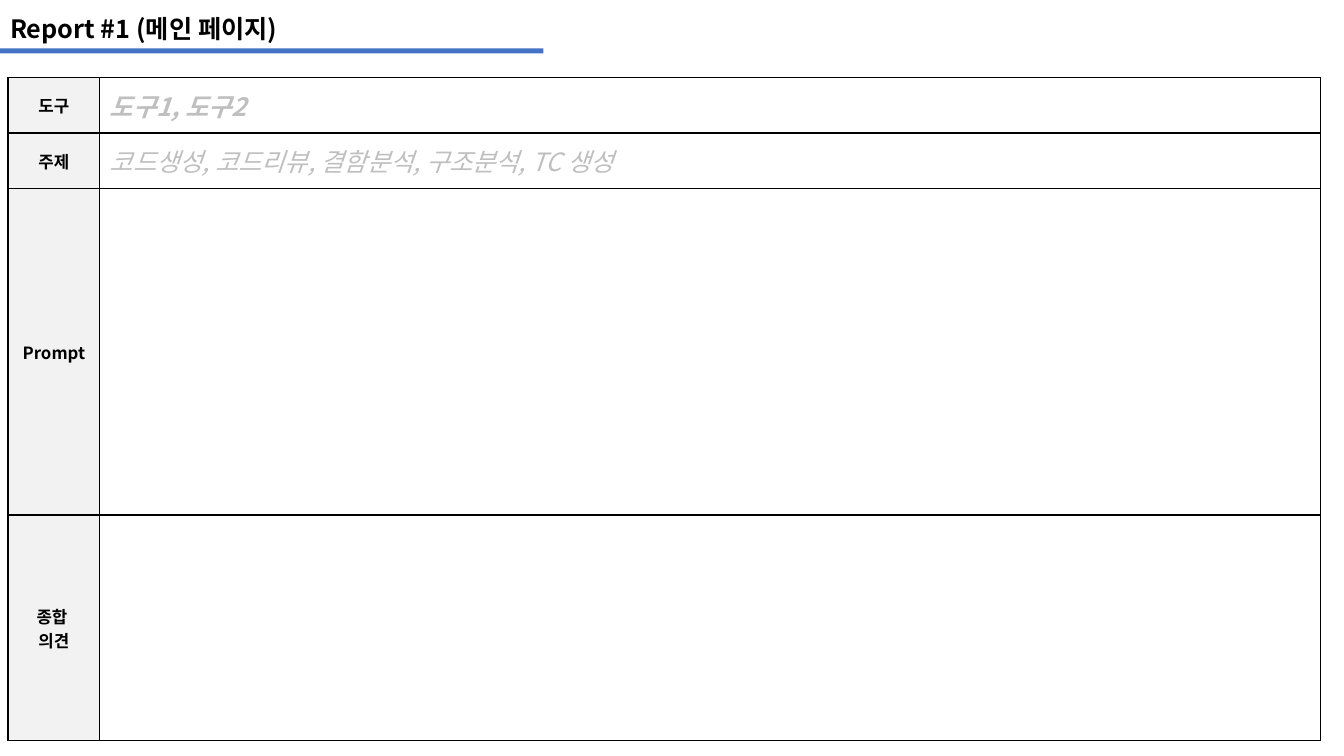
from dataclasses import dataclass

import lxml.etree
import pptx
import pptx.dml.color
import pptx.enum.shapes
import pptx.enum.text
import pptx.oxml.ns
import pptx.util

Inches = pptx.util.Inches
FONT_NAME = "Noto Sans CJK KR"
COLORS = {
    "text": "000000",
    "hint": "BFBFBF",
    "label": "F2F2F2",
    "entry": "FFFFFF",
    "border": "000000",
    "accent": "4472C4",
}
COLUMN_WIDTHS = (0.91, 12.11)


@dataclass
class ReportRow:
    label: str
    height: float
    hint: str = ""
    hint_bold: bool = False


REPORT_ROWS = [
    ReportRow("도구", 0.55, "도구1, 도구2", True),
    ReportRow("주제", 0.55, "코드생성, 코드리뷰, 결함분석, 구조분석, TC 생성"),
    ReportRow("Prompt", 3.24),
    ReportRow("종합 \n의견", 2.24),
]


def color(name: str) -> pptx.dml.color.RGBColor:
    return pptx.dml.color.RGBColor.from_string(COLORS[name])


def add_element(parent, tag: str, **attributes: str):
    return lxml.etree.SubElement(parent, pptx.oxml.ns.qn(tag), attributes)


def write_text(frame, text: str, size: int, color_name: str, alignment,
               bold: bool = True, italic: bool = False) -> None:
    frame.text = text
    for para in frame.paragraphs:
        para.alignment = alignment
        font = para.font
        font.size = pptx.util.Pt(size)
        font.bold = bold
        font.italic = italic
        font.color.rgb = color(color_name)
        font.name = FONT_NAME
        defaults = para._p.pPr.find(pptx.oxml.ns.qn("a:defRPr"))
        add_element(defaults, "a:ea", typeface=FONT_NAME)


def format_cell(cell, fill_name: str) -> None:
    cell.vertical_anchor = pptx.enum.text.MSO_ANCHOR.MIDDLE
    properties = cell._tc.get_or_add_tcPr()
    for side in ("a:lnL", "a:lnR", "a:lnT", "a:lnB"):
        line = add_element(properties, side, w=str(pptx.util.Pt(1)))
        line_fill = add_element(line, "a:solidFill")
        add_element(line_fill, "a:srgbClr", val=COLORS["border"])
    cell.fill.solid()
    cell.fill.fore_color.rgb = color(fill_name)


def add_title(page) -> None:
    title = page.shapes.title
    title.left, title.top = Inches(0), Inches(0.08)
    title.width, title.height = Inches(4.27), Inches(0.4)
    frame = title.text_frame
    frame.vertical_anchor = pptx.enum.text.MSO_ANCHOR.TOP
    frame.auto_size = pptx.enum.text.MSO_AUTO_SIZE.SHAPE_TO_FIT_TEXT
    write_text(frame, "Report #1 (메인 페이지)", 18, "text", pptx.enum.text.PP_ALIGN.LEFT)


def add_report_table(page) -> None:
    height = sum(row.height for row in REPORT_ROWS)
    table = page.shapes.add_table(
        len(REPORT_ROWS), len(COLUMN_WIDTHS), Inches(0.08), Inches(0.77),
        Inches(sum(COLUMN_WIDTHS)), Inches(height)).table
    table.first_row = False
    table.horz_banding = False
    for column, width in zip(table.columns, COLUMN_WIDTHS):
        column.width = Inches(width)
    for index, row in enumerate(REPORT_ROWS):
        table.rows[index].height = Inches(row.height)
        label, entry = table.cell(index, 0), table.cell(index, 1)
        format_cell(label, "label")
        format_cell(entry, "entry")
        write_text(label.text_frame, row.label, 12, "text", pptx.enum.text.PP_ALIGN.CENTER)
        if row.hint:
            write_text(entry.text_frame, row.hint, 18, "hint",
                       pptx.enum.text.PP_ALIGN.LEFT, row.hint_bold, True)


def add_title_bar(page) -> None:
    bar = page.shapes.add_shape(
        pptx.enum.shapes.MSO_SHAPE.RECTANGLE,
        Inches(0), Inches(0.48), Inches(5.39), Inches(0.05))
    bar.shadow.inherit = False
    bar.fill.solid()
    bar.fill.fore_color.rgb = color("accent")
    bar.line.fill.background()


def main() -> None:
    deck = pptx.Presentation()
    deck.slide_width, deck.slide_height = Inches(13.33), Inches(7.5)
    page = deck.slides.add_slide(deck.slide_layouts.get_by_name("Title Only"))
    add_title(page)
    add_report_table(page)
    add_title_bar(page)
    deck.save("out.pptx")


if __name__ == "__main__":
    main()
